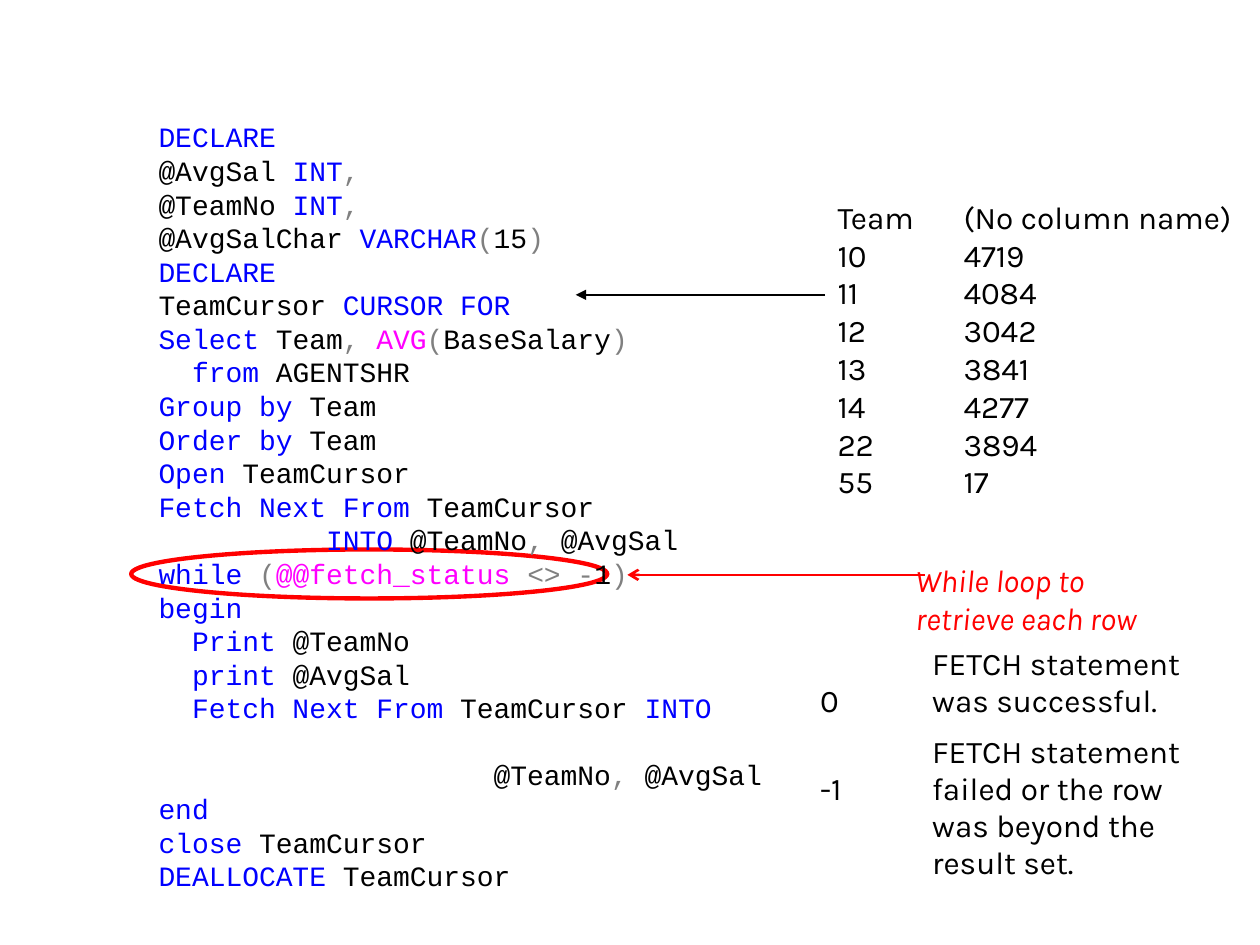
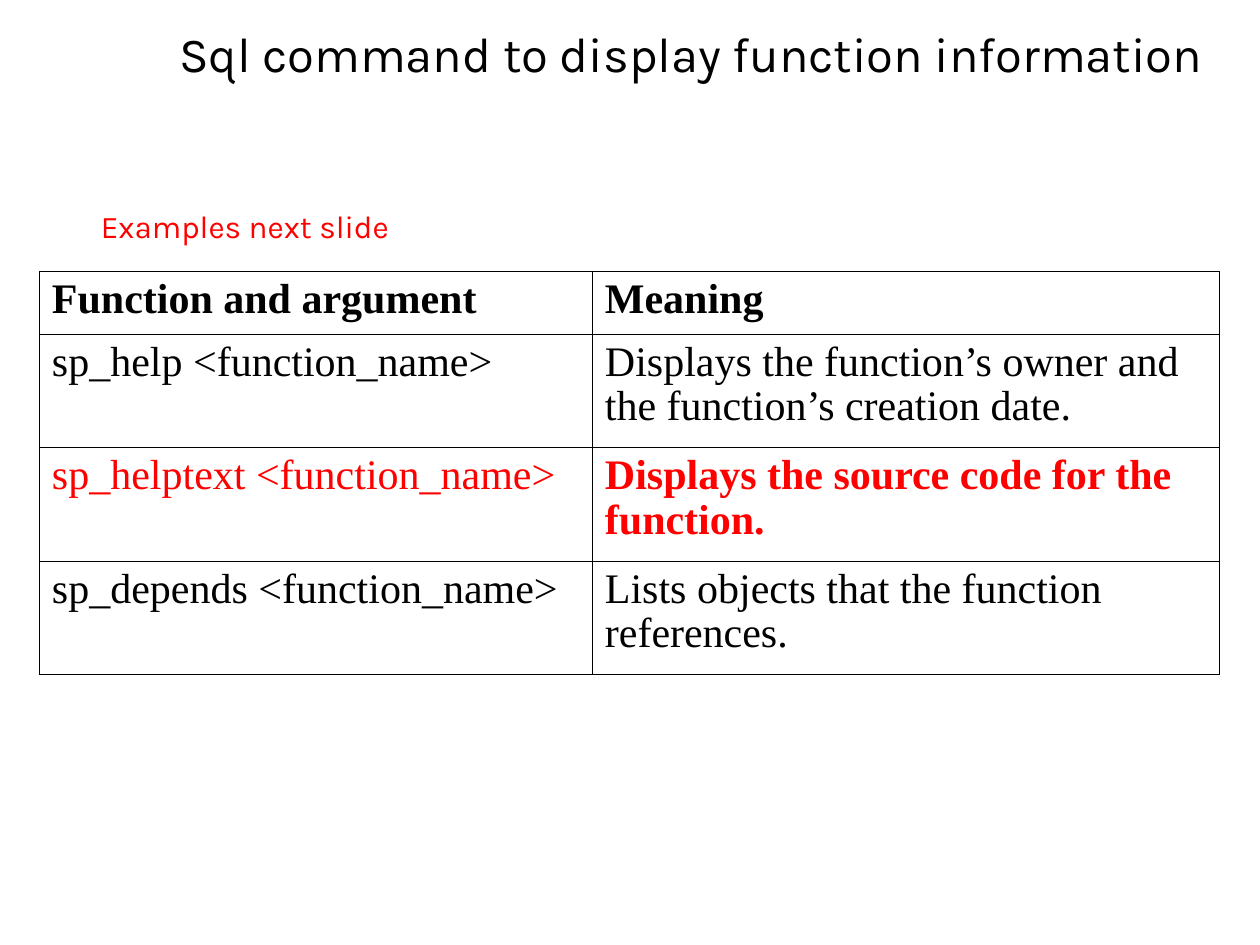
from dataclasses import dataclass
from itertools import groupby

from lxml import etree
from pptx import Presentation
from pptx import util as u
from pptx.dml.color import RGBColor
from pptx.enum import shapes, text
from pptx.oxml import ns

Pt = u.Pt


@dataclass(frozen=True)
class Theme:
    black: str = "000000"
    red: str = "FF0000"
    keyword: str = "0000FF"
    function: str = "FF00FF"
    symbol: str = "808080"
    body_font: str = "Karla"
    code_font: str = "Courier New"
    table_font: str = "Times New Roman"
    title_size: float = 28
    table_size: float = 24
    body_size: float = 18
    code_size: float = 16
    leading: float = 1.2


THEME = Theme()

KEYWORDS = set("""declare int varchar cursor for select from group order by open
    fetch next into while begin print end close deallocate""".split())
FUNCTIONS = {"avg", "@@fetch_status"}

CURSOR_CODE = """DECLARE
@AvgSal INT,
@TeamNo INT,
@AvgSalChar VARCHAR(15)
DECLARE
TeamCursor CURSOR FOR
Select Team, AVG(BaseSalary)
  from AGENTSHR
Group by Team
Order by Team
Open TeamCursor
Fetch Next From TeamCursor
          INTO @TeamNo, @AvgSal
while (@@fetch_status <> -1)
begin
  Print @TeamNo
  print @AvgSal
  Fetch Next From TeamCursor INTO
                    @TeamNo, @AvgSal
end
close TeamCursor
DEALLOCATE TeamCursor"""
LINE_AFTER_GAP = 18

TEAM_AVERAGES = [("Team", "(No column name)"), (10, 4719), (11, 4084), (12, 3042),
                 (13, 3841), (14, 4277), (22, 3894), (55, 17)]

FETCH_STATUS = [("0", "FETCH statement was successful."),
                ("-1", "FETCH statement failed or the row was beyond the result set.")]

HELP_COMMANDS = [
    ("Function and argument", "Meaning"),
    ("sp_help <function_name>",
     "Displays the function’s owner and the function’s creation date."),
    ("sp_helptext <function_name>", "Displays the source code for the function."),
    ("sp_depends <function_name>", "Lists objects that the function references."),
]


def token_color(token):
    """Colour of one SQL token; blanks have none of their own."""
    word = token.lower()
    if word.isspace():
        return None
    if word in KEYWORDS:
        return THEME.keyword
    if word in FUNCTIONS:
        return THEME.function
    return THEME.black if word[0].isalnum() or word[0] in "@_" else THEME.symbol


def colored_pieces(line):
    """Split a line of SQL into (colour, text); blanks join the piece before."""
    def kind(character):
        if character.isspace():
            return "blank"
        return "word" if character.isalnum() or character in "@_" else "symbol"

    tokens = ["".join(group) for _, group in groupby(line, kind)]
    color = next(filter(None, map(token_color, tokens)))
    pieces = []
    for token in tokens:
        color = token_color(token) or color
        pieces.append((color, token))
    for color, group in groupby(pieces, lambda piece: piece[0]):
        yield color, "".join(token for _, token in group)


class Deck:
    """Holds the theme and the current slide."""

    def __init__(self, theme):
        self.theme = theme
        self.presentation = Presentation()
        self.presentation.slide_width = Pt(720)
        self.presentation.slide_height = Pt(540)
        self.slide = None

    def new_slide(self):
        self.slide = self.presentation.slides.add_slide(self.presentation.slide_layouts[6])

    def style(self, font, name, size, color, bold=False, italic=False):
        font.name, font.size = name, Pt(size)
        font.bold, font.italic = bold, italic
        font.color.rgb = RGBColor.from_string(color)

    def textbox(self, box, content, size=None, color=None, italic=False):
        shape = self.slide.shapes.add_textbox(*map(Pt, box))
        frame = shape.text_frame
        frame.word_wrap = True
        frame.text = content
        for paragraph in frame.paragraphs:
            for run in paragraph.runs:
                self.style(run.font, self.theme.body_font, size or self.theme.body_size,
                           color or self.theme.black, italic=italic)
        return frame

    def title(self, content):
        frame = self.textbox((73.5, -6, 620.5, 72), content, self.theme.title_size)
        frame.vertical_anchor = text.MSO_ANCHOR.MIDDLE
        frame.paragraphs[0].alignment = text.PP_ALIGN.RIGHT

    def tabbed_list(self, box, rows, tab):
        content = "\n".join(f"{first}\t{second}" for first, second in rows)
        for paragraph in self.textbox(box, content).paragraphs:
            paragraph.line_spacing = Pt(self.theme.body_size * self.theme.leading)
            properties = paragraph._p.get_or_add_pPr()
            tabs = etree.SubElement(properties, ns.qn("a:tabLst"))
            etree.SubElement(tabs, ns.qn("a:tab"), pos=str(Pt(tab)), algn="l")

    def code(self, box, source, line_after_gap):
        frame = self.textbox(box, "")
        pitch = Pt(self.theme.code_size * self.theme.leading)
        for index, line in enumerate(source.split("\n")):
            paragraph = frame.add_paragraph() if index else frame.paragraphs[0]
            paragraph.line_spacing = pitch
            if index == line_after_gap:
                paragraph.space_before = pitch
            for color, piece in colored_pieces(line):
                run = paragraph.add_run()
                run.text = piece
                self.style(run.font, self.theme.code_font, self.theme.code_size, color)

    def ellipse(self, box, color, width):
        shape = self.slide.shapes.add_shape(shapes.MSO_SHAPE.OVAL, *map(Pt, box))
        shape.shadow.inherit = False
        shape.fill.background()
        shape.line.color.rgb = RGBColor.from_string(color)
        shape.line.width = Pt(width)

    def arrow(self, start, end, color, width, head):
        connector = self.slide.shapes.add_connector(
            shapes.MSO_CONNECTOR.STRAIGHT, *map(Pt, start + end))
        connector.line.color.rgb = RGBColor.from_string(color)
        connector.line.width = Pt(width)
        etree.SubElement(connector.line._get_or_add_ln(), ns.qn("a:tailEnd"), type=head)
        etree.SubElement(connector._element.spPr, ns.qn("a:effectLst"))

    def table(self, left, top, widths, heights, rows, name, size):
        frame = self.slide.shapes.add_table(
            len(rows), len(widths), Pt(left), Pt(top), Pt(sum(widths)), Pt(sum(heights)))
        table = frame.table
        table.first_row = table.horz_banding = False
        for column, width in zip(table.columns, widths):
            column.width = Pt(width)
        for row, height, values in zip(table.rows, heights, rows):
            row.height = Pt(height)
            for cell, value in zip(row.cells, values):
                cell.text = value
                cell.fill.background()
                self.style(cell.text_frame.paragraphs[0].runs[0].font, name, size,
                           self.theme.black)
        return table

    def cell_borders(self, cell, color, width):
        properties = cell._tc.get_or_add_tcPr()
        for position, side in enumerate(("a:lnL", "a:lnR", "a:lnT", "a:lnB")):
            line = etree.Element(ns.qn(side), w=str(Pt(width)))
            fill = etree.SubElement(line, ns.qn("a:solidFill"))
            etree.SubElement(fill, ns.qn("a:srgbClr"), val=color)
            properties.insert(position, line)


def cursor_slide(deck):
    theme = deck.theme
    deck.new_slide()

    # Loop callout
    deck.textbox((516, 317, 160, 50.5), "While loop to retrieve each row",
                 color=theme.red, italic=True)
    deck.arrow((528.5, 328.5), (358.5, 328.5), theme.red, 1.5, "arrow")
    deck.ellipse((75, 314, 272, 28), theme.red, 2.5)

    # Fetch status values, each beside the second line of its meaning
    status = deck.table(461.5, 365.75, (64, 182), (50.5, 93.5), FETCH_STATUS,
                        theme.body_font, theme.body_size)
    for row in status.rows:
        row.cells[0].margin_top = Pt(24.7)

    # Query result and the cursor that reads it
    deck.tabbed_list((471.5, 109.5, 248.5, 180), TEAM_AVERAGES, tab=72)
    deck.arrow((471.5, 168.5), (329, 168.5), theme.black, 1, "triangle")
    deck.code((83.5, 65, 362, 468), CURSOR_CODE, LINE_AFTER_GAP)


def help_slide(deck):
    theme = deck.theme
    deck.new_slide()
    deck.title("Sql command to display function information")

    # Help commands, with the third row highlighted
    table = deck.table(22.5, 155, (316, 358.5), (36, 64.8, 64.8, 64.8), HELP_COMMANDS,
                       theme.table_font, theme.table_size)
    for cell in table.iter_cells():
        deck.cell_borders(cell, theme.black, 0.45)
        cell.text_frame.paragraphs[0].line_spacing = 0.96
    bold_cells = [(0, 0), (0, 1), (2, 1)]
    for row, column in bold_cells:
        table.cell(row, column).text_frame.paragraphs[0].runs[0].font.bold = True
    for cell in table.rows[2].cells:
        font = cell.text_frame.paragraphs[0].runs[0].font
        font.color.rgb = RGBColor.from_string(theme.red)

    deck.textbox((50.5, 114.5, 181, 29), "Examples next slide", color=theme.red)


def main():
    deck = Deck(THEME)
    cursor_slide(deck)
    help_slide(deck)
    deck.presentation.save("out.pptx")


if __name__ == "__main__":
    main()
